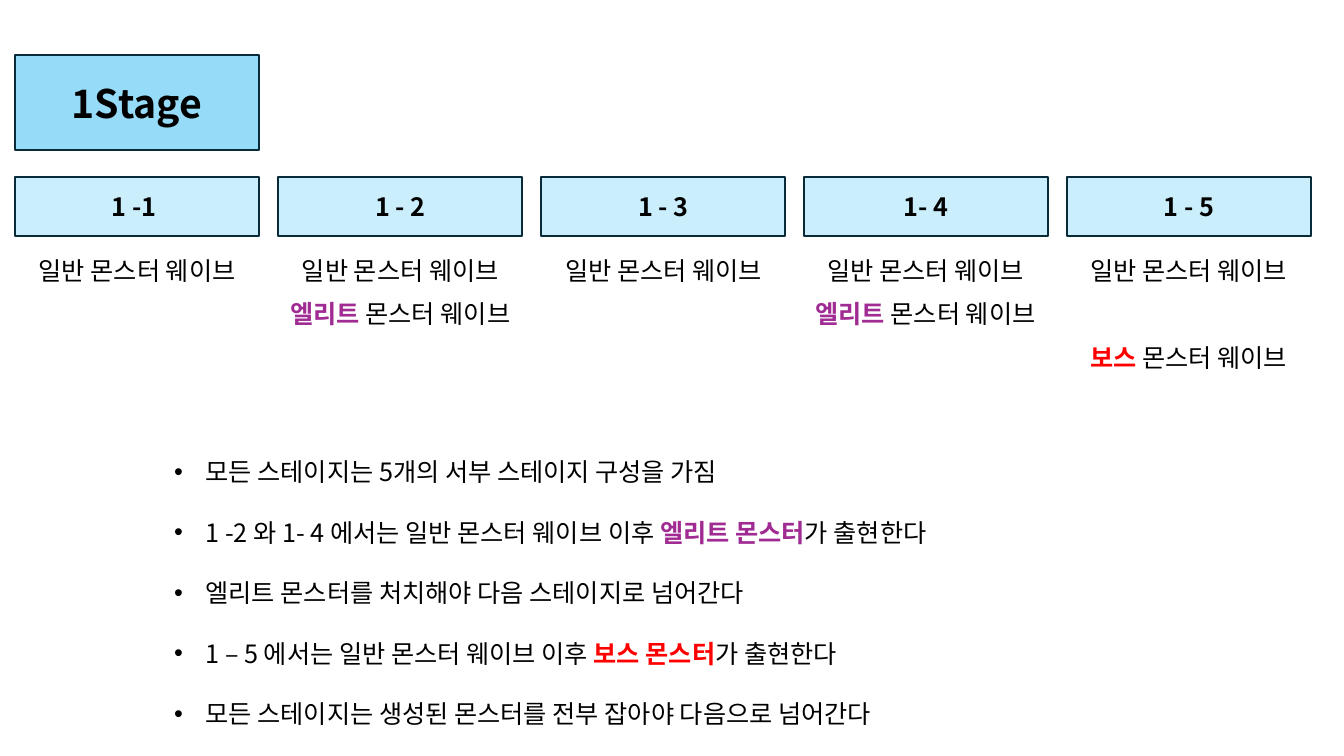
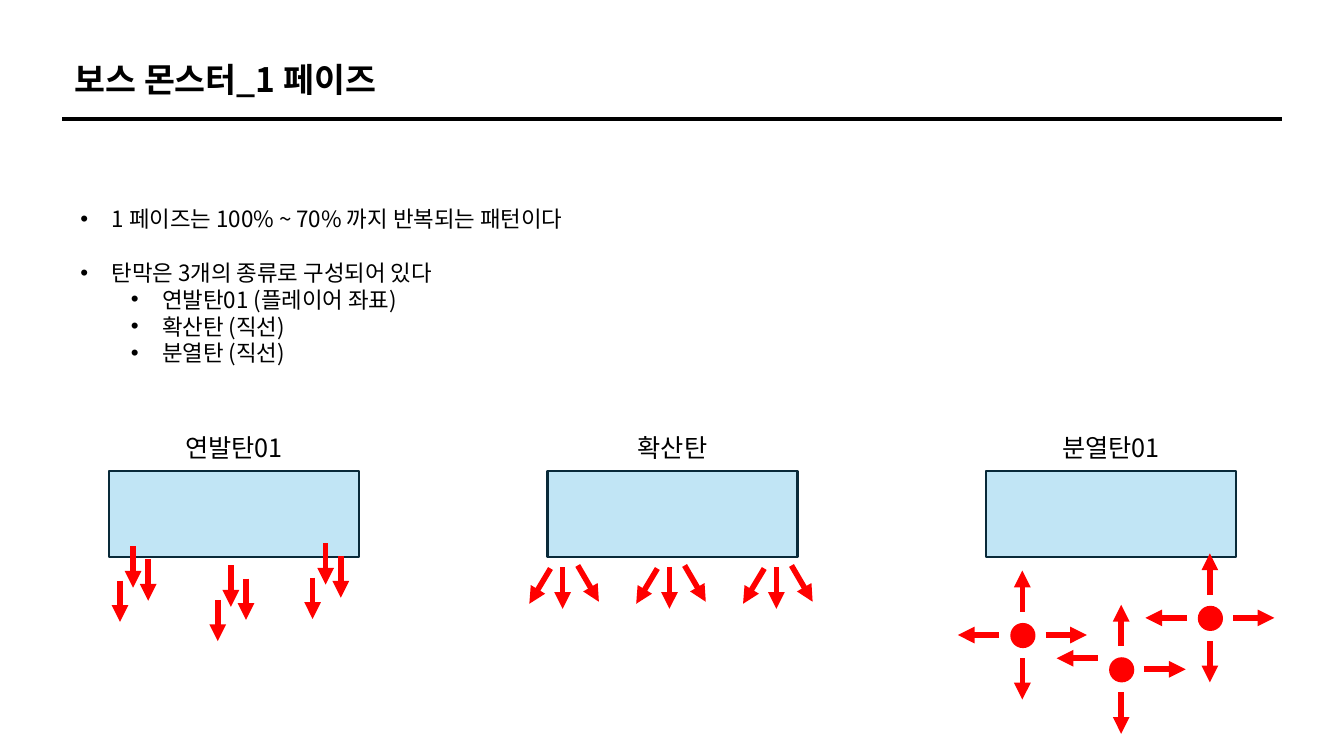
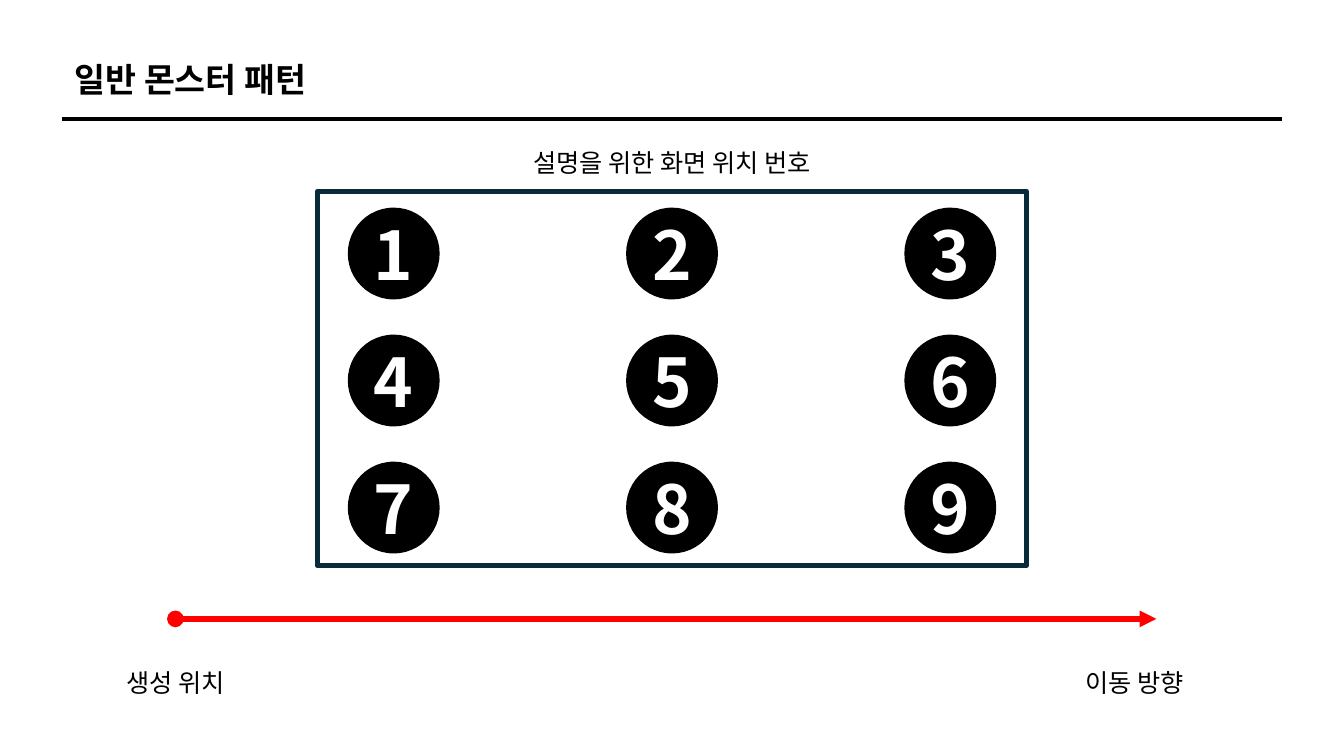
import pptx
import pptx.util
import pptx.dml.color
import pptx.enum.shapes
import pptx.enum.text
import pptx.oxml.ns
import lxml.etree

PX = 9144
FONT = "Noto Sans CJK KR"
COLORS = {
    "text": "000000", "white": "FFFFFF", "edge": "092A39",
    "stage": "96DCF8", "step": "CAEEFB", "launcher": "C1E5F5",
    "elite": "A02B93", "danger": "FF0000",
}
SHAPES = pptx.enum.shapes.MSO_SHAPE
ALIGN = pptx.enum.text.PP_ALIGN
ANCHOR = pptx.enum.text.MSO_ANCHOR
AUTO = pptx.enum.text.MSO_AUTO_SIZE
FRAME = {"word_wrap": True, "auto_size": AUTO.NONE, "vertical_anchor": ANCHOR.MIDDLE}
TEXT_FRAME = {"word_wrap": True, "auto_size": AUTO.SHAPE_TO_FIT_TEXT,
              "vertical_anchor": ANCHOR.TOP}
SHOT = 41
GAP = 23


def px(*values):
    """Turn px lengths into EMU."""
    return [pptx.util.Emu(v * PX) for v in values]


def rgb(name):
    """Look up a named colour."""
    return pptx.dml.color.RGBColor.from_string(COLORS[name])


def apply(obj, values):
    """Set each attribute in a dict of format values."""
    for name, value in values.items():
        setattr(obj, name, value)


def add_xml(parent, tag, **attrs):
    """Append a drawing element to its parent."""
    return lxml.etree.SubElement(parent, pptx.oxml.ns.qn(tag), attrs)


def write(p, runs, size=18, color="text", bold=False, align=None):
    """Fill a paragraph with plain runs and bold (text, colour) runs."""
    p.alignment = align
    for run in runs if isinstance(runs, list) else [runs]:
        text, tint = run if isinstance(run, tuple) else (run, color)
        r = p.add_run()
        r.text = text
        apply(r.font, {"name": FONT, "size": pptx.util.Pt(size),
                       "bold": bold or tint != color})
        r.font.color.rgb = rgb(tint)
        add_xml(r.font._element, "a:ea", typeface=FONT)


def paint(sp, fill=None, line=None, width=1.5):
    """Set the fill and outline of a shape."""
    if fill:
        sp.fill.solid()
        sp.fill.fore_color.rgb = rgb(fill)
    else:
        sp.fill.background()
    if line:
        sp.line.color.rgb = rgb(line)
        sp.line.width = pptx.util.Pt(width)
    else:
        sp.line.fill.background()


def add_box(s, kind, at, fill=None, line=None, width=1.5, text=None, **style):
    """Add a preset shape with optional centred text."""
    sp = s.shapes.add_shape(kind, *px(*at))
    sp.shadow.inherit = False
    paint(sp, fill, line, width)
    if text:
        apply(sp.text_frame, FRAME)
        write(sp.text_frame.paragraphs[0], text, align=ALIGN.CENTER, **style)


def add_label(s, at, runs):
    """Add a centred line of text."""
    tf = s.shapes.add_textbox(*px(*at)).text_frame
    apply(tf, TEXT_FRAME)
    write(tf.paragraphs[0], runs, align=ALIGN.CENTER)


def add_bullets(s, at, items, size):
    """Add a bulleted list of (level, line spacing, runs) items."""
    tf = s.shapes.add_textbox(*px(*at)).text_frame
    apply(tf, TEXT_FRAME)
    for i, (level, spacing, runs) in enumerate(items):
        p = tf.add_paragraph() if i else tf.paragraphs[0]
        apply(p, {"level": level, "line_spacing": spacing})
        pPr = p._p.get_or_add_pPr()
        indent, margin = px(-31, 31 + 50 * level)
        apply_indent = {"marL": margin, "indent": indent}
        for name, value in apply_indent.items():
            pPr.set(name, str(int(value)))
        add_xml(pPr, "a:buFont", typeface="Arial")
        add_xml(pPr, "a:buChar", char="•")
        write(p, runs, size)


def add_line(s, start, end, color="danger", width=4, head=None, tail="triangle"):
    """Add a straight line with optional ends."""
    c = s.shapes.add_connector(pptx.enum.shapes.MSO_CONNECTOR.STRAIGHT,
                               *px(*start, *end))
    c.line.color.rgb = rgb(color)
    c.line.width = pptx.util.Pt(width)
    for tag, kind in (("a:headEnd", head), ("a:tailEnd", tail)):
        if kind:
            add_xml(c.line._get_or_add_ln(), tag, type=kind)
    add_xml(c._element.spPr, "a:effectLst")


def add_slide(prs, title, at, size, align, frame):
    """Add a title-only slide and place its title."""
    s = prs.slides.add_slide(prs.slide_layouts[5])
    sp = s.shapes.title
    apply(sp, dict(zip(("left", "top", "width", "height"), px(*at))))
    apply(sp.text_frame, frame)
    write(sp.text_frame.paragraphs[0], title, size, bold=True, align=align)
    return s


def add_ruled_slide(prs, title):
    """Add a slide with a left title above a rule."""
    s = add_slide(prs, title, (64, 53, 631, 50), 24, ALIGN.LEFT, TEXT_FRAME)
    add_line(s, (62, 118), (1272, 118), "text", 2.75, tail=None)
    return s


def add_volley(s, x, y):
    """Add three staggered falling shots."""
    for dx, dy in ((0, 0), (15, 13), (-13, 34)):
        add_line(s, (x + dx, y + dy), (x + dx, y + dy + SHOT))


def add_spread(s, x):
    """Add three shots fanning out below a launcher."""
    for start, end in (((0, 563), (0, 604)), ((15, 561), (36, 597)),
                       ((-12, 564), (-33, 599))):
        add_line(s, (x + start[0], start[1]), (x + end[0], end[1]))


def add_split(s, x, y, left_dy=0):
    """Add a ball with shots leaving in four directions."""
    add_box(s, SHAPES.OVAL, (x - 12, y - 12, 25, 25), "danger")
    for ux, uy, dy in ((-1, 0, left_dy), (1, 0, 0), (0, 1, 0), (0, -1, 0)):
        start, end = ((x + ux * d, y + uy * d + dy) for d in (GAP, GAP + SHOT))
        add_line(s, start, end)


def build_stage(prs):
    """Build the stage overview."""
    s = add_slide(prs, "1Stage", (15, 55, 242, 94), 28, ALIGN.CENTER, FRAME)
    paint(s.shapes.title, "stage", "edge")
    elite = [("엘리트", "elite"), " 몬스터 웨이브"]
    boss = [("보스", "danger"), " 몬스터 웨이브"]
    steps = (("1 -1 ", None), ("1 - 2", (291, elite)), ("1 - 3", None),
             ("1- 4", (291, elite)), ("1 - 5", (335, boss)))
    for i, (name, extra) in enumerate(steps):
        x = 15 + round(260.75 * i)
        add_box(s, SHAPES.RECTANGLE, (x, 176, 242, 58), "step", "edge",
                text=name, bold=True)
        add_label(s, (x, 248, 242, 40), "일반 몬스터 웨이브")
        if extra:
            add_label(s, (x - 19, extra[0], 280, 40), extra[1])
    rules = (
        "모든 스테이지는 5개의 서부 스테이지 구성을 가짐",
        ["1 -2 와 1- 4 에서는 일반 몬스터 웨이브 이후 ",
         ("엘리트 몬스터", "elite"), "가 출현한다"],
        "엘리트 몬스터를 처치해야 다음 스테이지로 넘어간다",
        ["1 – 5 에서는 일반 몬스터 웨이브 이후 ",
         ("보스 몬스터", "danger"), "가 출현한다"],
        "모든 스테이지는 생성된 몬스터를 전부 잡아야 다음으로 넘어간다",
    )
    add_bullets(s, (163, 418, 1006, 364), [(0, 2.0, rule) for rule in rules], 18)


def build_boss(prs):
    """Build the boss bullet patterns."""
    s = add_ruled_slide(prs, "보스 몬스터_1 페이즈")
    add_bullets(s, (70, 172, 1193, 298), (
        (0, 2.0, "1 페이즈는 100% ~ 70% 까지 반복되는 패턴이다"),
        (0, 2.0, "탄막은 3개의 종류로 구성되어 있다"),
        (1, 1.0, "연발탄01 (플레이어 좌표)"),
        (1, 1.0, "확산탄 (직선)"),
        (1, 1.0, "분열탄 (직선)"),
    ), 16)
    for i, name in enumerate(("연발탄01", "확산탄", "분열탄01")):
        x = 108 + 435 * i
        add_box(s, SHAPES.RECTANGLE, (x, 467, 248, 86), "launcher", "edge")
        add_label(s, (x, 424, 248, 40), name)
    for x, y in ((132, 542), (229, 561), (323, 539)):
        add_volley(s, x, y)
    for i in range(3):
        add_spread(s, 558 + 106 * i)
    for x, y, left_dy in ((1014, 630, 0), (1112, 664, -11), (1200, 613, 0)):
        add_split(s, x, y, left_dy)


def build_positions(prs):
    """Build the numbered screen positions."""
    s = add_ruled_slide(prs, "일반 몬스터 패턴")
    add_label(s, (241, 141, 851, 40), "설명을 위한 화면 위치 번호")
    add_box(s, SHAPES.RECTANGLE, (315, 190, 703, 371), line="edge", width=4)
    for i in range(9):
        row, col = divmod(i, 3)
        add_box(s, SHAPES.OVAL, (346 + 276 * col, 207 + 126 * row, 89, 89),
                "text", "text", text=str(i + 1), size=48, color="white", bold=True)
    add_line(s, (174, 614), (1147, 614), head="oval")
    for x, name in ((94, "생성 위치"), (1045, "이동 방향")):
        add_label(s, (x, 657, 160, 40), name)


def main():
    """Build and save the presentation."""
    prs = pptx.Presentation()
    prs.slide_width, prs.slide_height = px(1333, 750)
    for build in (build_stage, build_boss, build_positions):
        build(prs)
    prs.save("out.pptx")


if __name__ == "__main__":
    main()
